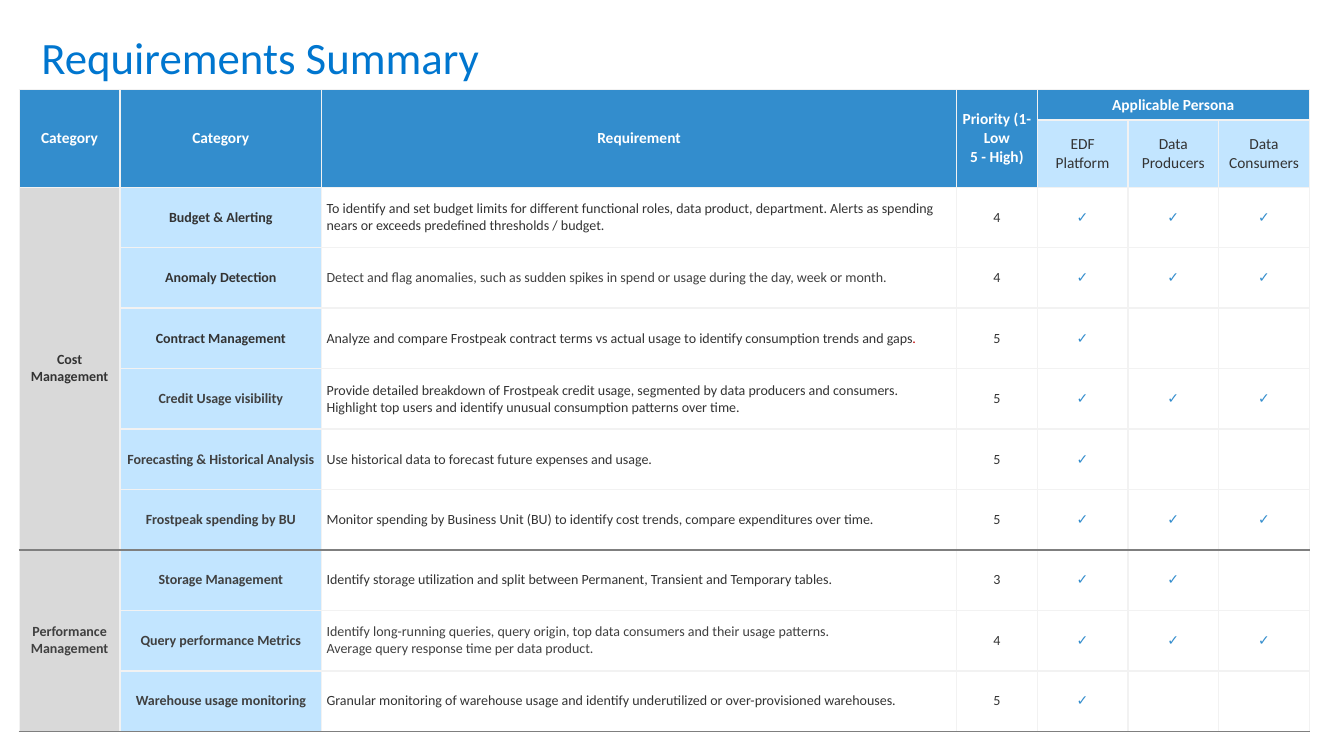
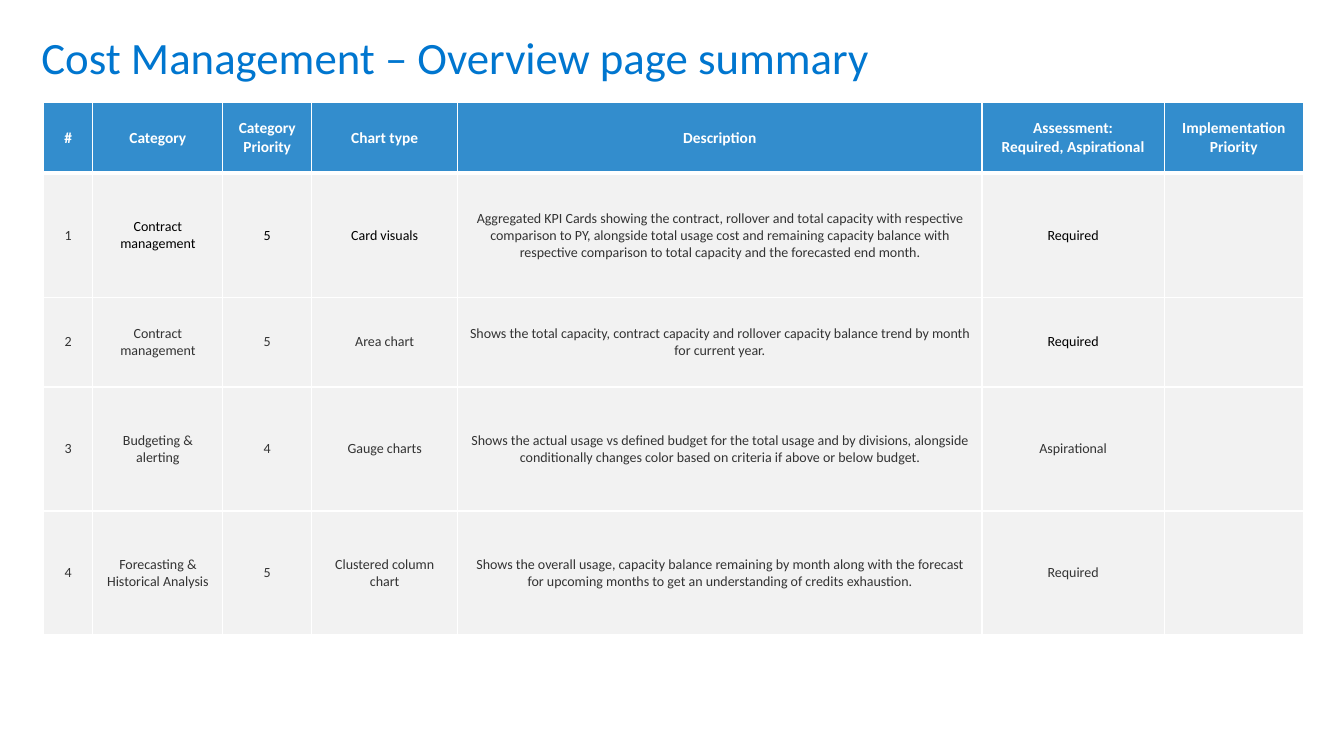
import pptx
import pptx.dml.color
import pptx.enum.text
import pptx.oxml
import pptx.oxml.ns
import pptx.util

Pt = pptx.util.Pt
ALIGN = pptx.enum.text.PP_ALIGN
ANCHOR = pptx.enum.text.MSO_ANCHOR

# Shared look
COLORS = {
    "title": "0076CF", "header": "338DCD", "light": "C2E5FF", "group": "D9D9D9",
    "band": "F2F2F2", "white": "FFFFFF", "black": "000000", "text": "333333",
    "soft": "404040", "rule": "7F7F7F", "alert": "C00000",
}
FONT = "Calibri"
HEADER = {"fill": "header", "color": "white", "size": 11, "bold": True}
PERSONA = {"fill": "light", "size": 11}
TICK = "✓"


def rgb(name):
    return pptx.dml.color.RGBColor.from_string(COLORS[name])


def set_font(font, size, color, bold=False):
    values = {"name": FONT, "size": Pt(size), "bold": bold}
    for key, value in values.items():
        setattr(font, key, value)
    font.color.rgb = rgb(color)


def set_borders(cell, edges):
    """Draw the four sides; edges maps a side to (colour name, width)."""
    tc_pr = cell._tc.get_or_add_tcPr()
    for i, side in enumerate("LRTB"):
        color, width = edges[side]
        tc_pr.insert(i, pptx.oxml.parse_xml(
            f'<a:ln{side} {pptx.oxml.ns.nsdecls("a")} w="{Pt(width)}">'
            f'<a:solidFill><a:srgbClr val="{COLORS[color]}"/></a:solidFill>'
            f'</a:ln{side}>'))


def fill_cell(cell, text, edges, inset, fill=None, color="text", size=10,
              bold=False, align=ALIGN.CENTER):
    values = {"vertical_anchor": ANCHOR.MIDDLE, "margin_left": Pt(inset),
              "margin_right": Pt(inset), "margin_top": Pt(3.6),
              "margin_bottom": Pt(3.6)}
    for key, value in values.items():
        setattr(cell, key, value)
    if fill:
        cell.fill.solid()
        cell.fill.fore_color.rgb = rgb(fill)
    else:
        cell.fill.background()
    set_borders(cell, edges)
    cell.text_frame.text = text
    for p in cell.text_frame.paragraphs:
        p.alignment = align
        set_font(p.font, size, color, bold)
        for r in p.runs:
            set_font(r.font, size, color, bold)


def add_grid(s, left, top, widths, heights):
    frame = s.shapes.add_table(len(heights), len(widths), Pt(left), Pt(top),
                               Pt(sum(widths)), Pt(sum(heights)))
    table = frame.table
    table.first_row = table.horz_banding = False
    for col, width in zip(table.columns, widths):
        col.width = Pt(width)
    for row, height in zip(table.rows, heights):
        row.height = Pt(height)
    return table


def add_titled_slide(prs, title):
    s = prs.slides.add_slide(prs.slide_layouts[5])
    box = {"left": 22.3, "top": 17.3, "width": 937.4, "height": 40.3}
    for key, value in box.items():
        setattr(s.shapes.title, key, Pt(value))
    tf = s.shapes.title.text_frame
    tf.text = title
    tf.vertical_anchor = ANCHOR.TOP
    tf.auto_size = pptx.enum.text.MSO_AUTO_SIZE.NONE
    p = tf.paragraphs[0]
    p.alignment = ALIGN.LEFT
    set_font(p.runs[0].font, 32, "title")
    return s


# Requirements: category, its colour, requirement, its colour, priority, ticks
REQUIREMENTS = [
    ("Budget & Alerting", "text",
     "To identify and set budget limits for different functional roles, data product, "
     "department. Alerts as spending nears or exceeds predefined thresholds / budget.",
     "text", "4", 3),
    ("Anomaly Detection", "text",
     "Detect and flag anomalies, such as sudden spikes in spend or usage during the day, "
     "week or month.", "soft", "4", 3),
    ("Contract Management", "text",
     "Analyze and compare Frostpeak contract terms vs actual usage to identify "
     "consumption trends and gaps", "text", "5", 1),
    ("Credit Usage visibility", "soft",
     "Provide detailed breakdown of Frostpeak credit usage, segmented by data producers "
     "and consumers. Highlight top users and identify unusual consumption patterns over "
     "time.", "text", "5", 3),
    ("Forecasting & Historical Analysis", "soft",
     "Use historical data to forecast future expenses and usage.", "text", "5", 1),
    ("Frostpeak spending by BU", "soft",
     "Monitor spending by Business Unit (BU) to identify cost trends, compare "
     "expenditures over time.", "text", "5", 3),
    ("Storage Management", "soft",
     "Identify storage utilization and split between Permanent, Transient and Temporary "
     "tables.", "text", "3", 2),
    ("Query performance Metrics", "soft",
     "Identify long-running queries, query origin, top data consumers and their usage "
     "patterns.\nAverage query response time per data product.", "soft", "4", 3),
    ("Warehouse usage monitoring", "soft",
     "Granular monitoring of warehouse usage and identify underutilized or "
     "over-provisioned warehouses.", "text", "5", 1),
]
# First row, last row, name, text colour
GROUPS = [(2, 7, "Cost Management", "text"), (8, 10, "Performance Management", "soft")]


def add_requirements_table(s, left, top):
    table = add_grid(s, left, top, [72, 144, 453.6, 57.6] + [64.8] * 3,
                     [21.6, 24.5] + [43.2] * len(REQUIREMENTS))

    def put(row, col, text="", **look):
        edges = dict.fromkeys("LRTB", ("band", 1))
        for first, last, *_ in GROUPS:
            if row == last or (col == 0 and row == first):
                edges["B"] = ("rule", 1)
            if row == first and first > GROUPS[0][0]:
                edges["T"] = ("rule", 1)
        fill_cell(table.cell(row, col), text, edges, 3.6, **look)

    # Two-row header
    heads = ["Category", "Category", "Requirement", "Priority (1- Low\n5 - High)",
             "Applicable Persona", "", ""]
    personas = [""] * 4 + ["EDF Platform", "Data Producers", "Data Consumers"]
    for col, (head, persona) in enumerate(zip(heads, personas)):
        put(0, col, head, **HEADER)
        put(1, col, persona, **(PERSONA if persona else HEADER))
    for col in range(4):
        table.cell(0, col).merge(table.cell(1, col))
    table.cell(0, 4).merge(table.cell(0, 6))

    # Requirement rows
    for row, (name, name_color, need, need_color, priority, ticks) in enumerate(
            REQUIREMENTS, 2):
        put(row, 1, name, fill="light", color=name_color, bold=True)
        put(row, 2, need, color=need_color, align=ALIGN.LEFT)
        put(row, 3, priority)
        for i in range(3):
            put(row, 4 + i, TICK if i < ticks else "", color="header")
    r = table.cell(4, 2).text_frame.paragraphs[0].add_run()
    r.text = "."
    set_font(r.font, 10, "alert")

    # Group column
    for first, last, name, color in GROUPS:
        for row in range(first, last + 1):
            put(row, 0, name if row == first else "", fill="group", color=color, bold=True)
        table.cell(first, 0).merge(table.cell(last, 0))


OVERVIEW = [
    ["#", "Category", "Category Priority", "Chart type", "Description",
     "Assessment:\vRequired, Aspirational", "Implementation Priority"],
    ["1", "Contract management", "5", "Card visuals",
     "Aggregated KPI Cards showing the contract, rollover and total capacity with "
     "respective comparison to PY, alongside total usage cost and remaining capacity "
     "balance with respective comparison to total capacity and the forecasted end month.",
     "Required", ""],
    ["2", "Contract management", "5", "Area chart",
     "Shows the total capacity, contract capacity and rollover capacity balance trend by "
     "month for current year.", "Required", ""],
    ["3", "Budgeting & alerting", "4", "Gauge charts",
     "Shows the actual usage vs defined budget for the total usage and by divisions, "
     "alongside conditionally changes color based on criteria if above or below budget.",
     "Aspirational", ""],
    ["4", "Forecasting & Historical Analysis", "5", "Clustered column chart",
     "Shows the overall usage, capacity balance remaining by month along with the "
     "forecast for upcoming months to get an understanding of credits exhaustion.",
     "Required", ""],
]
BLACK_CELLS = {(1, 1), (1, 2), (1, 3), (1, 5), (2, 5)}


def add_overview_table(s, left, top):
    table = add_grid(s, left, top, [35.3, 92.9, 63.4, 104.4, 374.4, 130.3, 99.4],
                     [50.4, 88.6, 64.1, 88.6, 88.6])
    for row, texts in enumerate(OVERVIEW):
        edges = dict.fromkeys("LRTB", ("white", 1))
        if row < 2:
            edges["T" if row else "B"] = ("white", 3)
        for col, text in enumerate(texts):
            color = "black" if (row, col) in BLACK_CELLS else "text"
            look = {"fill": "band", "color": color} if row else HEADER
            fill_cell(table.cell(row, col), text, edges, 7.2, **look)


def main():
    prs = pptx.Presentation()
    prs.slide_width, prs.slide_height = Pt(960), Pt(540)
    add_requirements_table(add_titled_slide(prs, "Requirements Summary"), 13.7, 64.1)
    add_overview_table(
        add_titled_slide(prs, "Cost Management – Overview page summary"), 31, 73.4)
    prs.save("out.pptx")


if __name__ == "__main__":
    main()
